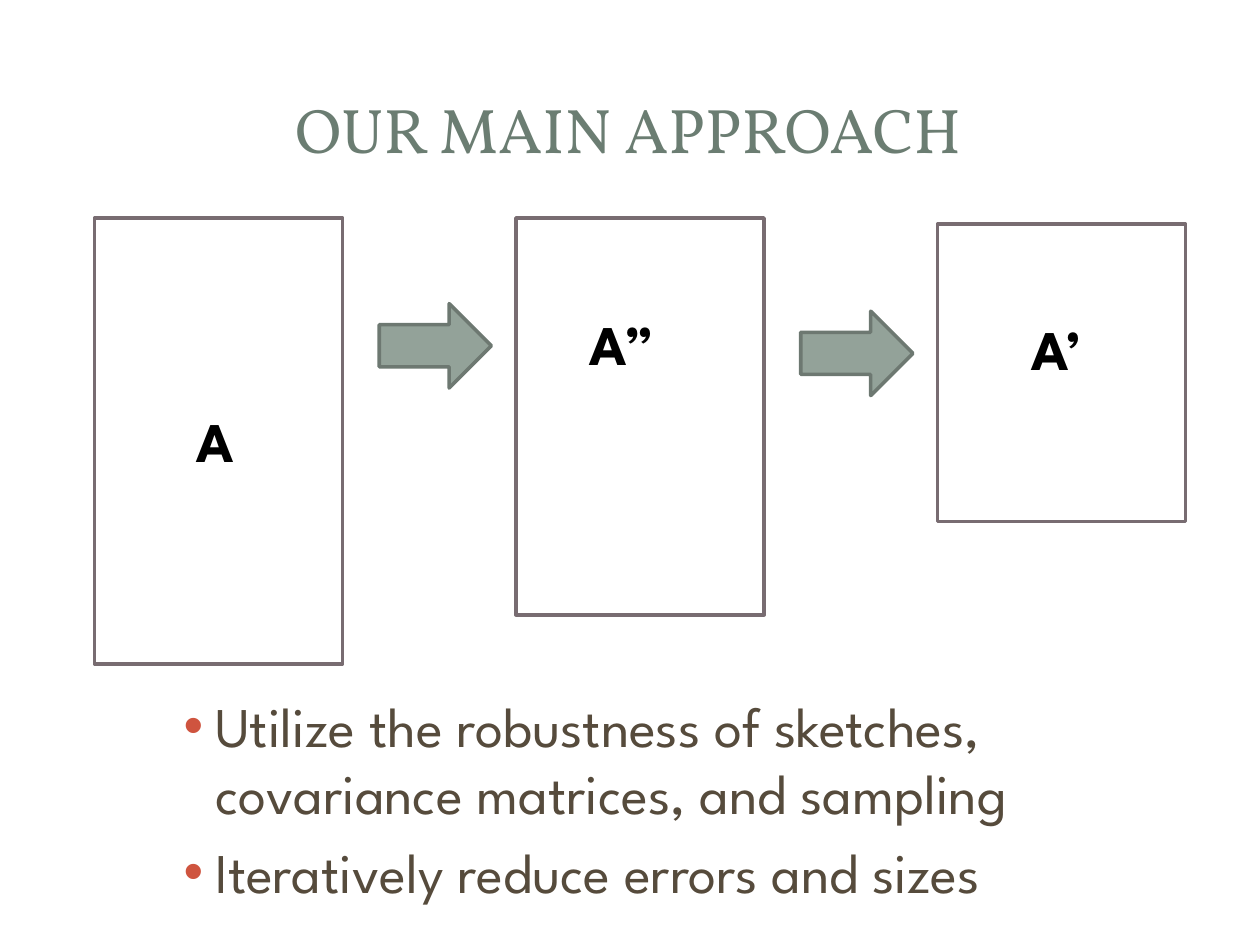
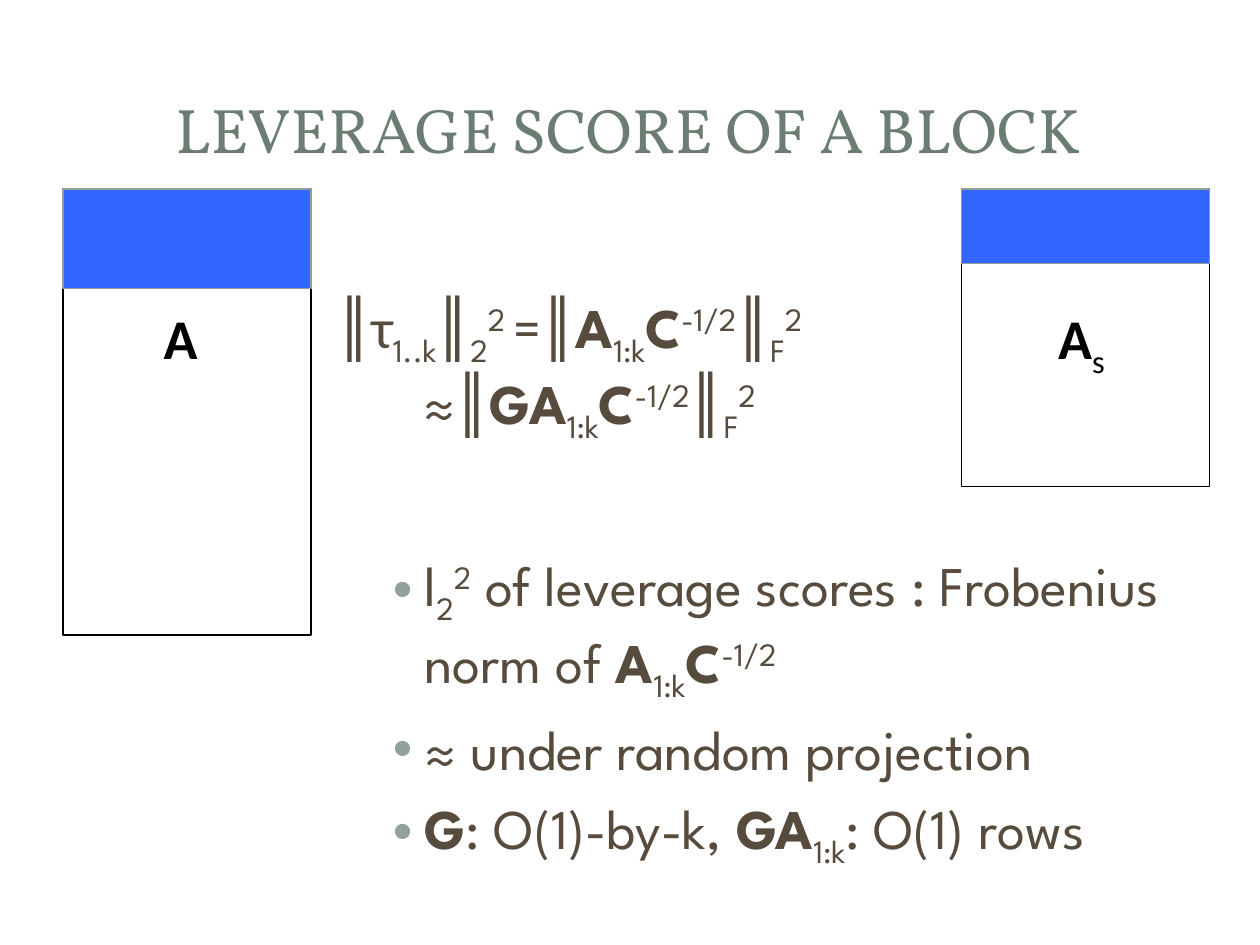
from lxml.etree import SubElement
from pptx import Presentation
from pptx.dml.color import RGBColor
from pptx.enum.shapes import MSO_SHAPE
from pptx.enum.text import MSO_ANCHOR, PP_ALIGN
from pptx.oxml.ns import qn
from pptx.util import Inches, Pt

HUES = {"title": "6B7D72", "body": "564B3C", "black": "000000", "red": "CF543F",
        "sage": "93A299", "moss": "6D7871", "edge": "786C71",
        "blue": "3366FF", "rim": "8F9F96"}
HUES = {name: RGBColor.from_string(code) for name, code in HUES.items()}
SANS = "League Spartan"
BASES = {"_": "-25000", "^": "30000"}


def draw(slide, kind, at, line, width, fill=None):
    shape = slide.shapes.add_shape(kind, *map(Inches, at))
    shape.shadow.inherit = False
    if fill:
        shape.fill.solid()
        shape.fill.fore_color.rgb = HUES[fill]
    else:
        shape.fill.background()
    shape.line.color.rgb = HUES[line]
    shape.line.width = Pt(width)


def write(slide, at, lines, face=SANS, hue="body", dot=None, inset=0.0):
    frame = slide.shapes.add_textbox(*map(Inches, at)).text_frame
    frame.word_wrap = True
    for i, line in enumerate(lines):
        para = frame.paragraphs[0] if i == 0 else frame.add_paragraph()
        if dot:
            props = para._p.get_or_add_pPr()
            props.set("marL", str(Inches(inset)))
            props.set("indent", str(Inches(-0.25)))
            tint = SubElement(props, qn("a:buClr"))
            SubElement(tint, qn("a:srgbClr")).set("val", str(HUES[dot]))
            SubElement(props, qn("a:buFont")).set("typeface", "Arial")
            SubElement(props, qn("a:buChar")).set("char", "•")
            if i:
                para.space_before = Pt(6.4)
        para.font.name = face
        para.font.size = Pt(32)
        para.font.color.rgb = HUES[hue]
        for text, style in line:
            run = para.add_run()
            run.text = text
            if style == "b":
                run.font.bold = True
            elif style in BASES:
                run._r.get_or_add_rPr().set("baseline", BASES[style])
    return frame


deck = Presentation()
deck.slide_width, deck.slide_height = Inches(10), Inches(7.5)
slides = []
for text in ("OUR MAIN APPROACH", "LEVERAGE SCORE OF A BLOCK"):
    slide = deck.slides.add_slide(deck.slide_layouts[5])
    title = slide.shapes.title
    title.left, title.top = Inches(0.47), Inches(0.45)
    title.width, title.height = Inches(9.03), Inches(1.14)
    title.text_frame.text = text
    title.text_frame.vertical_anchor = MSO_ANCHOR.MIDDLE
    para = title.text_frame.paragraphs[0]
    para.alignment = PP_ALIGN.CENTER
    para.font.name = "Vollkorn"
    para.font.size = Pt(36)
    para.font.color.rgb = HUES["title"]
    slides.append(slide)
main, score = slides

steps = [("A", 1.73, 3.54, (1.46, 3.18, 0.54)),
         ("A”", 1.73, 3.15, (4.58, 2.41, 0.95)),
         ("A’", 1.78, 2.36, (8.09, 2.45, 0.67))]
for i, (name, top, height, spot) in enumerate(steps):
    draw(main, MSO_SHAPE.RECTANGLE, (0.75 + 3.345 * i, top, 1.97, height), "edge", 2)
    write(main, (*spot, 0.64), [[(name, "b")]], hue="black")
for i, top in enumerate((2.41, 2.47)):
    draw(main, MSO_SHAPE.RIGHT_ARROW, (3.01 + 3.345 * i, top, 0.89, 0.67),
         "moss", 2, "sage")
write(main, (0.91, 5.44, 8.57, 1.92), [
    [("Utilize the robustness of sketches, covariance matrices, and sampling", "")],
    [("Iteratively reduce errors and sizes", "")],
], dot="red", inset=0.7)

blocks = [(0.5, 3.54, 0.79, (1.2, 0.47), [("A", "b")]),
          (7.63, 2.36, 0.59, (8.3, 0.62), [("A", "b"), ("s", "_")])]
for left, height, band, (start, width), name in blocks:
    draw(score, MSO_SHAPE.RECTANGLE, (left, 1.5, 1.97, height), "black", 0.75)
    draw(score, MSO_SHAPE.RECTANGLE, (left, 1.5, 1.97, band), "rim", 0.75, "blue")
    write(score, (start, 2.36, width, 0.64), [name], "Calibri", "black")

block = [("A", "b"), ("1:k", "_")]
root = [("C", "b"), ("-1/2", "^")]
norm = [("║", ""), ("F", "_"), ("2", "^")]
write(score, (2.89, 4.32, 6.95, 2.51), [
    [("l", ""), ("2", "_"), ("2", "^"),
     (" of leverage scores : Frobenius norm of ", ""), *block, *root],
    [("≈ under random projection", "")],
    [("G", "b"), (": O(1)-by-k, ", ""), ("G", "b"), *block, (": O(1) rows", "")],
], dot="sage", inset=0.38)

frame = write(score, (2.58, 2.27, 5.05, 1.25), [
    [("║τ", ""), ("1..k", "_"), ("║", ""), ("2", "_"), ("2 ", "^"), ("=║", ""),
     *block, *root, *norm],
    [("≈║", ""), ("G", "b"), *block, *root, *norm],
])
frame.paragraphs[0].runs[0].font.name = "Calibri"
frame.paragraphs[1]._p.get_or_add_pPr().set("marL", str(Inches(0.68)))

deck.save("out.pptx")
